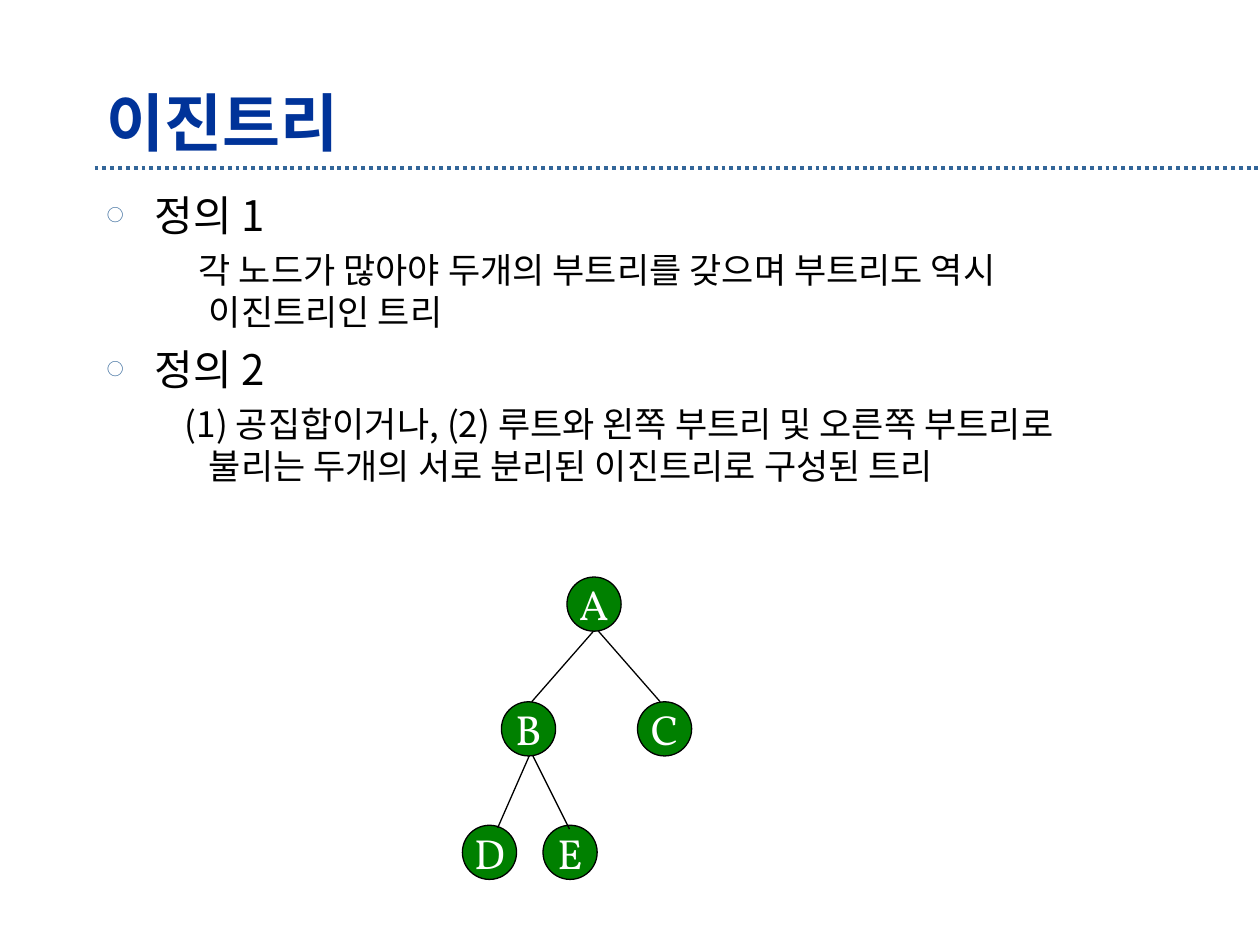
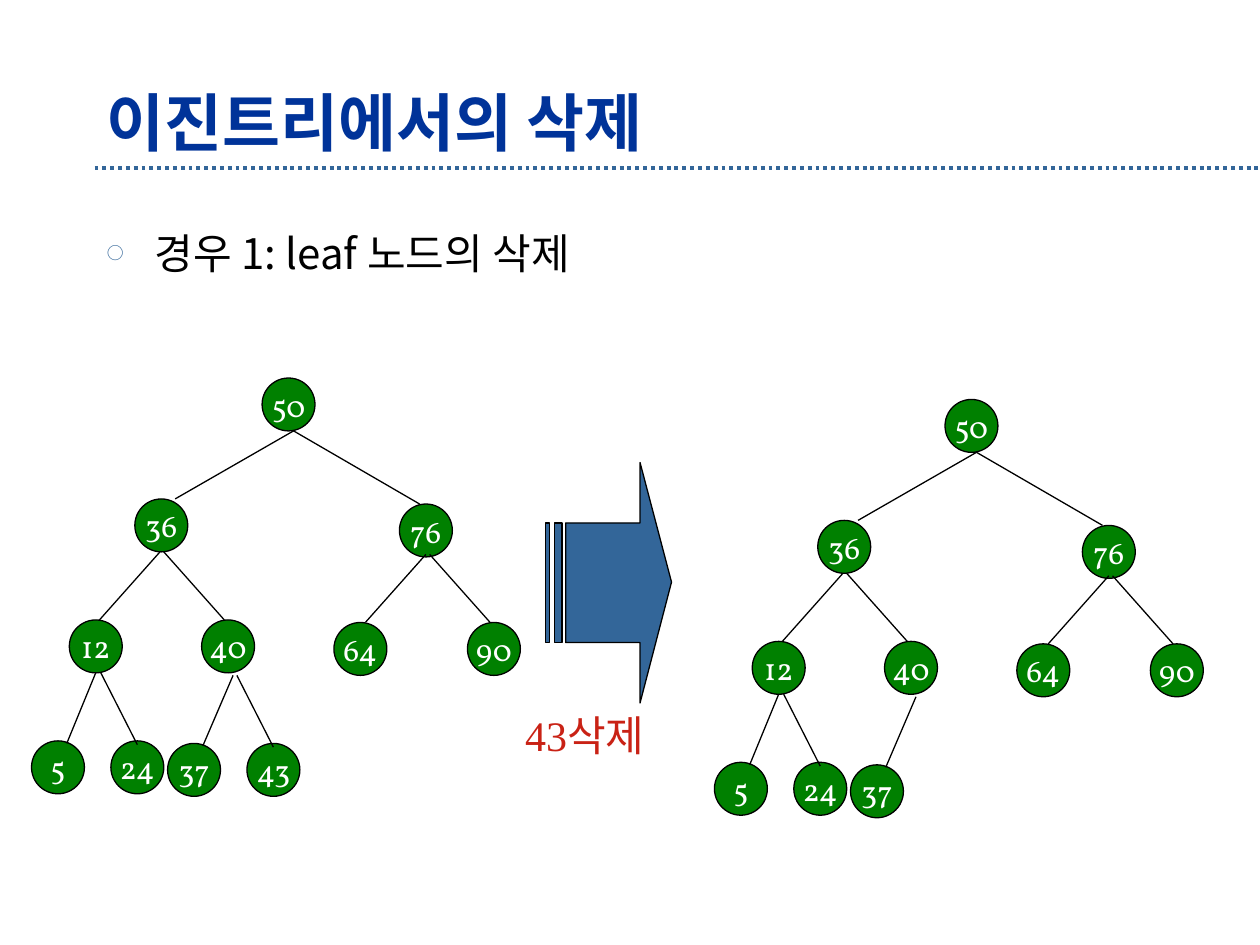
from lxml.etree import SubElement
from pptx import Presentation
from pptx.dml.color import RGBColor
from pptx.enum.dml import MSO_LINE
from pptx.enum.shapes import MSO_CONNECTOR, MSO_SHAPE
from pptx.enum.text import MSO_ANCHOR, MSO_AUTO_SIZE, PP_ALIGN
from pptx.oxml.ns import qn
from pptx.util import Inches, Pt

COLORS = {"title": "003399", "accent": "336699", "node": "008000",
          "ink": "000000", "paper": "FFFFFF", "deleted": "C92215"}
SANS, SERIF, NODE_FONT = "Noto Sans CJK KR", "Times New Roman", "Vollkorn"

DEFINITION_TITLE = "이진트리"
DEFINITIONS = [
    ("정의 1", "각 노드가 많아야 두개의 부트리를 갖으며 부트리도 역시 이진트리인 트리", -0.08),
    ("정의 2", "(1) 공집합이거나, (2) 루트와 왼쪽 부트리 및 오른쪽 부트리로 "
             "불리는 두개의 서로 분리된 이진트리로 구성된 트리", -0.19),
]
DELETION_TITLE = "이진트리에서의 삭제"
DELETION_CASE = "경우 1: leaf 노드의 삭제"
DELETION_LABEL = "43삭제"
DELETED_KEY = "43"

LETTER_TREE = {
    "A": (4.5, 4.58, None),
    "B": (3.98, 5.57, (4.71, 5.01, 4.22, 5.57)),
    "C": (5.06, 5.57, (4.75, 5.01, 5.24, 5.57)),
    "D": (3.67, 6.55, (4.2, 6, 3.95, 6.57)),
    "E": (4.31, 6.55, (4.23, 6, 4.52, 6.58)),
}
NUMBER_TREE = {
    "50": (2.08, 3, None),
    "36": (1.07, 3.96, (2.33, 3.42, 1.39, 3.96)),
    "76": (3.17, 4, (2.33, 3.42, 3.33, 4)),
    "12": (0.55, 4.92, (1.27, 4.38, 0.79, 4.92)),
    "40": (1.6, 4.92, (1.3, 4.38, 1.78, 4.92)),
    "64": (2.65, 4.94, (3.38, 4.4, 2.9, 4.94)),
    "90": (3.71, 4.94, (3.41, 4.4, 3.89, 4.94)),
    "5": (0.25, 5.88, (0.76, 5.34, 0.53, 5.9)),
    "24": (0.88, 5.88, (0.8, 5.34, 1.09, 5.91)),
    "37": (1.33, 5.9, (1.85, 5.36, 1.61, 5.92)),
    "43": (1.96, 5.9, (1.88, 5.36, 2.17, 5.93)),
}
AFTER_DELETION_SHIFT = (5.42, 0.17)

ARROW_HEAD = [(5.08, 3.67), (5.08, 4.15), (4.49, 4.15), (4.49, 5.1),
              (5.08, 5.1), (5.08, 5.58), (5.33, 4.62)]
ARROW_STRIPES = [(4.4, 4.46), (4.33, 4.36)]
STRIPE_TOP, STRIPE_BOTTOM = 4.15, 5.1


def color(name):
    return RGBColor.from_string(COLORS[name])


def write(frame, text, size, font=SANS, ink="ink", bold=False, align=None,
          margin=0, indent=0, before=0, line=None, bullet=False, more=False):
    paragraph = frame.add_paragraph() if more else frame.paragraphs[0]
    properties = paragraph._p.get_or_add_pPr()
    properties.set("marL", str(Inches(margin)))
    properties.set("indent", str(Inches(indent)))
    paragraph.alignment = align
    if before:
        paragraph.space_before = Pt(before)
    if line:
        paragraph.line_spacing = Pt(line)
    if bullet:
        tint = SubElement(properties, qn("a:buClr"))
        SubElement(tint, qn("a:srgbClr"), val=COLORS["accent"])
        SubElement(properties, qn("a:buSzPct"), val="40000")
        SubElement(properties, qn("a:buFont"), typeface=SANS)
        SubElement(properties, qn("a:buChar"), char="○")
    run = paragraph.add_run()
    run.text = text
    run.font.name, run.font.size, run.font.bold = font, Pt(size), bold
    run.font.color.rgb = color(ink)
    SubElement(run._r.get_or_add_rPr(), qn("a:ea"), typeface=SANS)


def add_frame(slide, left, top, width, height, anchor=MSO_ANCHOR.TOP, wrap=True):
    frame = slide.shapes.add_textbox(
        Inches(left), Inches(top), Inches(width), Inches(height)).text_frame
    frame.word_wrap, frame.vertical_anchor = wrap, anchor
    if not wrap:
        frame.auto_size = MSO_AUTO_SIZE.SHAPE_TO_FIT_TEXT
    return frame


def add_line(slide, ends, ink="ink", width=0.75, dash=None):
    line = slide.shapes.add_connector(MSO_CONNECTOR.STRAIGHT, *map(Inches, ends))
    line.line.color.rgb, line.line.width = color(ink), Pt(width)
    if dash:
        line.line.dash_style = dash
    SubElement(line._element.spPr, qn("a:effectLst"))


def paint(shape, fill):
    shape.shadow.inherit = False
    shape.fill.solid()
    shape.fill.fore_color.rgb = color(fill)
    shape.line.color.rgb, shape.line.width = color("ink"), Pt(0.75)


def add_titled_slide(deck, title):
    slide = deck.slides.add_slide(deck.slide_layouts[6])
    add_line(slide, (0.75, 1.33, 10, 1.33), "accent", 2.25, MSO_LINE.ROUND_DOT)
    frame = add_frame(slide, 0.75, 0.67, 8.58, 0.58, MSO_ANCHOR.MIDDLE)
    write(frame, title, 36, ink="title", bold=True)
    return slide


def write_heading(frame, text, more=False):
    write(frame, text, 24, margin=0.38, indent=-0.38, line=29, bullet=True,
          before=6 if more else 0, more=more)


def add_tree(slide, tree, diameter, size, shift=(0, 0)):
    dx, dy = shift
    for label, (left, top, edge) in tree.items():
        node = slide.shapes.add_shape(
            MSO_SHAPE.OVAL, Inches(left + dx), Inches(top + dy),
            Inches(diameter), Inches(diameter))
        paint(node, "node")
        node.text_frame.word_wrap = False
        node.text_frame.vertical_anchor = MSO_ANCHOR.MIDDLE
        write(node.text_frame, label, size, NODE_FONT, "paper", align=PP_ALIGN.CENTER)
        if edge:
            x1, y1, x2, y2 = edge
            add_line(slide, (x1 + dx, y1 + dy, x2 + dx, y2 + dy))


def add_striped_arrow(slide):
    stripes = [[(left, STRIPE_TOP), (left, STRIPE_BOTTOM),
                (right, STRIPE_BOTTOM), (right, STRIPE_TOP)]
               for left, right in ARROW_STRIPES]
    head, *outlines = [[(Inches(x), Inches(y)) for x, y in outline]
                       for outline in [ARROW_HEAD, *stripes]]
    builder = slide.shapes.build_freeform(*head[0])
    builder.add_line_segments(head[1:], close=True)
    for outline in outlines:
        builder.move_to(*outline[0])
        builder.add_line_segments(outline[1:], close=True)
    paint(builder.convert_to_shape(), "accent")


def build_definition(deck):
    slide = add_titled_slide(deck, DEFINITION_TITLE)
    frame = add_frame(slide, 0.75, 1.45, 8.5, 4.5)
    for index, (heading, meaning, indent) in enumerate(DEFINITIONS):
        write_heading(frame, heading, more=index > 0)
        write(frame, meaning, 20, margin=0.81, indent=indent, before=5,
              line=24, more=True)
    add_tree(slide, LETTER_TREE, 0.43, 24)


def build_deletion(deck):
    slide = add_titled_slide(deck, DELETION_TITLE)
    write_heading(add_frame(slide, 0.75, 1.75, 8.5, 4.92), DELETION_CASE)
    remaining = {key: node for key, node in NUMBER_TREE.items() if key != DELETED_KEY}
    add_tree(slide, NUMBER_TREE, 0.42, 18)
    add_striped_arrow(slide)
    add_tree(slide, remaining, 0.42, 18, AFTER_DELETION_SHIFT)
    label = add_frame(slide, 4.07, 5.58, 1.22, 0.5, wrap=False)
    write(label, DELETION_LABEL, 24, SERIF, "deleted")


def main():
    deck = Presentation()
    deck.slide_width, deck.slide_height = Inches(10), Inches(7.5)
    build_definition(deck)
    build_deletion(deck)
    deck.save("out.pptx")


if __name__ == "__main__":
    main()
